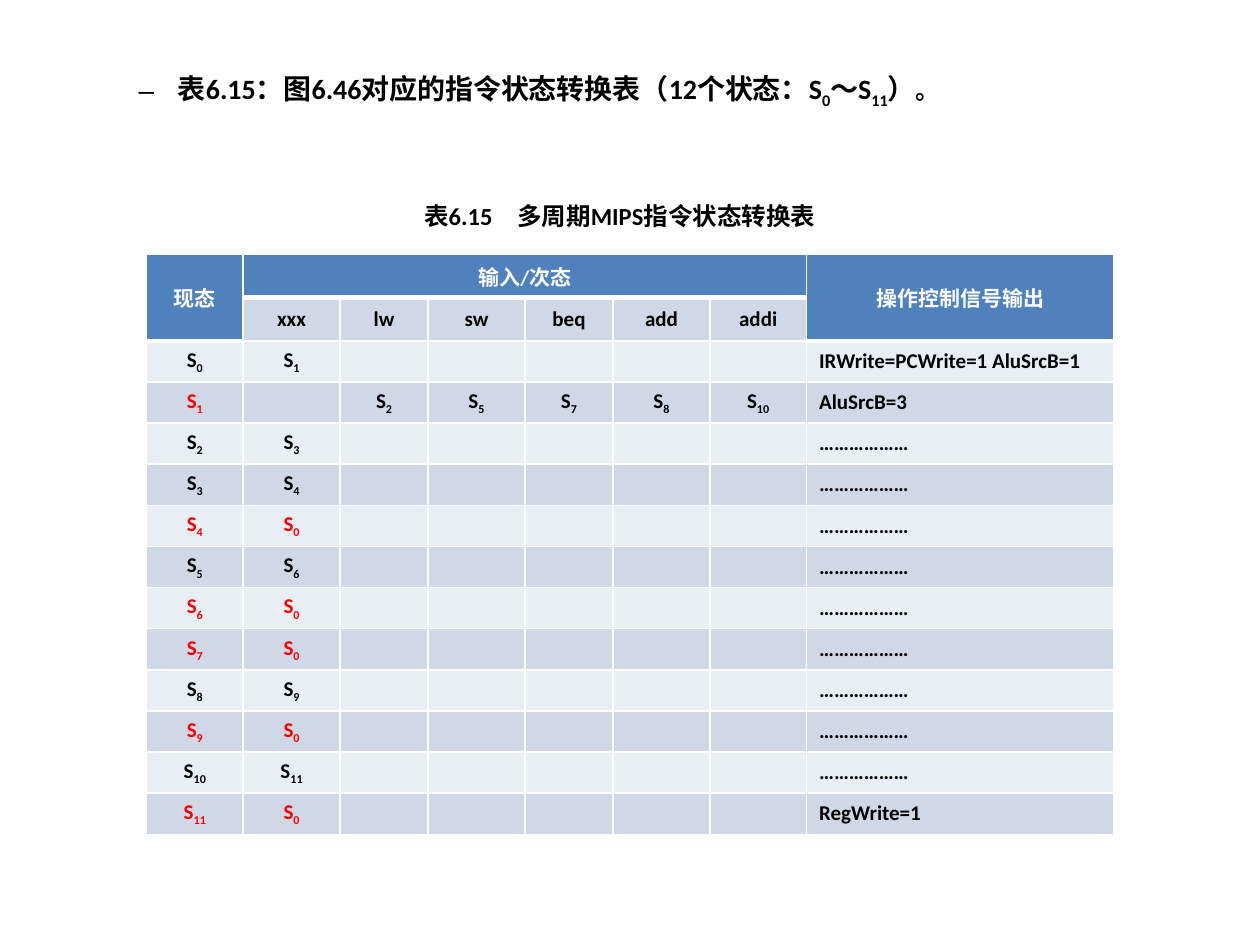
import pptx
import pptx.dml.color
import pptx.enum.text
import pptx.oxml
import pptx.oxml.ns
import pptx.util
from lxml import etree

Pt = pptx.util.Pt
qn = pptx.oxml.ns.qn
PP_ALIGN = pptx.enum.text.PP_ALIGN
MSO_ANCHOR = pptx.enum.text.MSO_ANCHOR

COLORS = {
    "text": "000000",
    "white": "FFFFFF",
    "accent": "FF0000",
    "header": "4F81BD",
    "band_dark": "D0D8E8",
    "band_light": "E9EDF4",
}
FONT = "Calibri"
INPUTS = ["xxx", "lw", "sw", "beq", "add", "addi"]
COLUMN_WIDTHS = [55.3, 55.3, 50.4, 55.3, 50.4, 55.3, 55.3, 175.7]
OUTPUT_COLUMN = len(COLUMN_WIDTHS) - 1
BRANCHES = {"lw": 2, "sw": 5, "beq": 7, "add": 8, "addi": 10}
NEXT_STATES = [1, BRANCHES, 3, 4, 0, 6, 0, 0, 9, 0, 11, 0]
OUTPUTS = {0: "IRWrite=PCWrite=1 AluSrcB=1", 1: "AluSrcB=3", 11: "RegWrite=1"}


def rgb(name):
    """Return the named colour."""
    return pptx.dml.color.RGBColor.from_string(COLORS[name])


def add_run(paragraph, text, size, color="text", bold=True, subscript=False):
    """Append one formatted run."""
    run = paragraph.add_run()
    run.text = text
    run.font.name = FONT
    run.font.size = Pt(size)
    run.font.bold = bold
    run.font.color.rgb = rgb(color)
    if subscript:
        run.font._element.set("baseline", "-25000")


def add_state(paragraph, number, size, color="text"):
    """Append a state name with its subscript number."""
    add_run(paragraph, "S", size, color)
    add_run(paragraph, str(number), size, color, subscript=True)


def build_heading(slide, left, top, width, height):
    """Fill the body placeholder with the dashed heading line."""
    body = slide.placeholders[1]
    body.left, body.top, body.width, body.height = left, top, width, height
    frame = body.text_frame
    frame.word_wrap = True
    frame.auto_size = pptx.enum.text.MSO_AUTO_SIZE.NONE
    paragraph = frame.paragraphs[0]
    paragraph.level = 1
    paragraph.space_before = Pt(0)
    properties = paragraph._p.get_or_add_pPr()
    properties.set("marL", str(Pt(58.5)))
    properties.set("indent", str(Pt(-22.5)))
    etree.SubElement(properties, qn("a:buChar")).set("char", "–")
    add_run(paragraph, "表6.15：图6.46对应的指令状态转换表（12个状态：", 16)
    add_state(paragraph, 0, 16)
    add_run(paragraph, "～", 16)
    add_state(paragraph, 11, 16)
    add_run(paragraph, "）", 16)
    add_run(paragraph, "。", 14)


def build_caption(slide, left, top, width, height):
    """Place the centred table caption."""
    frame = slide.shapes.add_textbox(left, top, width, height).text_frame
    frame.word_wrap = True
    paragraph = frame.paragraphs[0]
    paragraph.alignment = PP_ALIGN.CENTER
    add_run(paragraph, "表6.15　多周期MIPS指令状态转换表", 14)


def border_below(row, column):
    """Return the line width under a cell, thicker under the header."""
    last_header_row = 1 if column in (0, OUTPUT_COLUMN) else 0
    return 3 if 0 <= row <= last_header_row else 1


def style_cell(cell, row, column):
    """Set the borders, fill, anchor and alignment of one cell."""
    properties = cell._tc.get_or_add_tcPr()
    widths = {
        "a:lnL": 1,
        "a:lnR": 1,
        "a:lnT": border_below(row - 1, column),
        "a:lnB": border_below(row, column),
    }
    for tag, width in widths.items():
        line = etree.SubElement(properties, qn(tag), w=str(Pt(width)))
        fill = etree.SubElement(line, qn("a:solidFill"))
        etree.SubElement(fill, qn("a:srgbClr"), val=COLORS["white"])
    is_header = border_below(row, column) == 3
    band = "band_dark" if row % 2 else "band_light"
    cell.fill.solid()
    cell.fill.fore_color.rgb = rgb("header" if is_header else band)
    cell.vertical_anchor = MSO_ANCHOR.MIDDLE
    paragraph = cell.text_frame.paragraphs[0]
    if is_header or column != OUTPUT_COLUMN:
        paragraph.alignment = PP_ALIGN.CENTER
    etree.SubElement(paragraph._p, qn("a:endParaRPr"), sz="1200")


def build_state_table(slide, left, top, width, height):
    """Place the state transition table."""
    row_count = len(NEXT_STATES) + 2
    table = slide.shapes.add_table(
        row_count, len(COLUMN_WIDTHS), left, top, width, height
    ).table
    for column, column_width in zip(table.columns, COLUMN_WIDTHS):
        column.width = Pt(column_width)
    for row_index, row in enumerate(table.rows):
        row.height = height // row_count
        for column_index, cell in enumerate(row.cells):
            style_cell(cell, row_index, column_index)

    def paragraph_at(row, column):
        """Return the paragraph of a cell."""
        return table.cell(row, column).text_frame.paragraphs[0]

    headers = [
        ("现态", 0, 1, 0),
        ("输入/次态", 1, 0, len(INPUTS)),
        ("操作控制信号输出", OUTPUT_COLUMN, 1, OUTPUT_COLUMN),
    ]
    for text, column, last_row, last_column in headers:
        table.cell(0, column).merge(table.cell(last_row, last_column))
        add_run(paragraph_at(0, column), text, 12, "white")
    for column, name in enumerate(INPUTS, start=1):
        add_run(paragraph_at(1, column), name, 12)

    for state, following in enumerate(NEXT_STATES):
        row = state + 2
        branching = isinstance(following, dict)
        targets = following if branching else {"xxx": following}
        state_color = "accent" if branching or following == 0 else "text"
        add_state(paragraph_at(row, 0), state, 12, state_color)
        for name, target in targets.items():
            color = "text" if target else "accent"
            add_state(paragraph_at(row, INPUTS.index(name) + 1), target, 12, color)
        add_run(paragraph_at(row, OUTPUT_COLUMN), OUTPUTS.get(state, "………………"), 12)


def main():
    """Build and save the presentation."""
    presentation = pptx.Presentation()
    presentation.slide_width, presentation.slide_height = Pt(720), Pt(540)
    slide = presentation.slides.add_slide(presentation.slide_layouts[1])
    title = slide.shapes.title._element
    title.getparent().remove(title)
    build_heading(slide, Pt(36), Pt(37.5), Pt(648), Pt(28))
    build_state_table(slide, Pt(83.7), Pt(145.5), Pt(sum(COLUMN_WIDTHS)), Pt(329))
    build_caption(slide, Pt(167), Pt(111.5), Pt(374.4), Pt(24.5))
    presentation.save("out.pptx")


if __name__ == "__main__":
    main()
